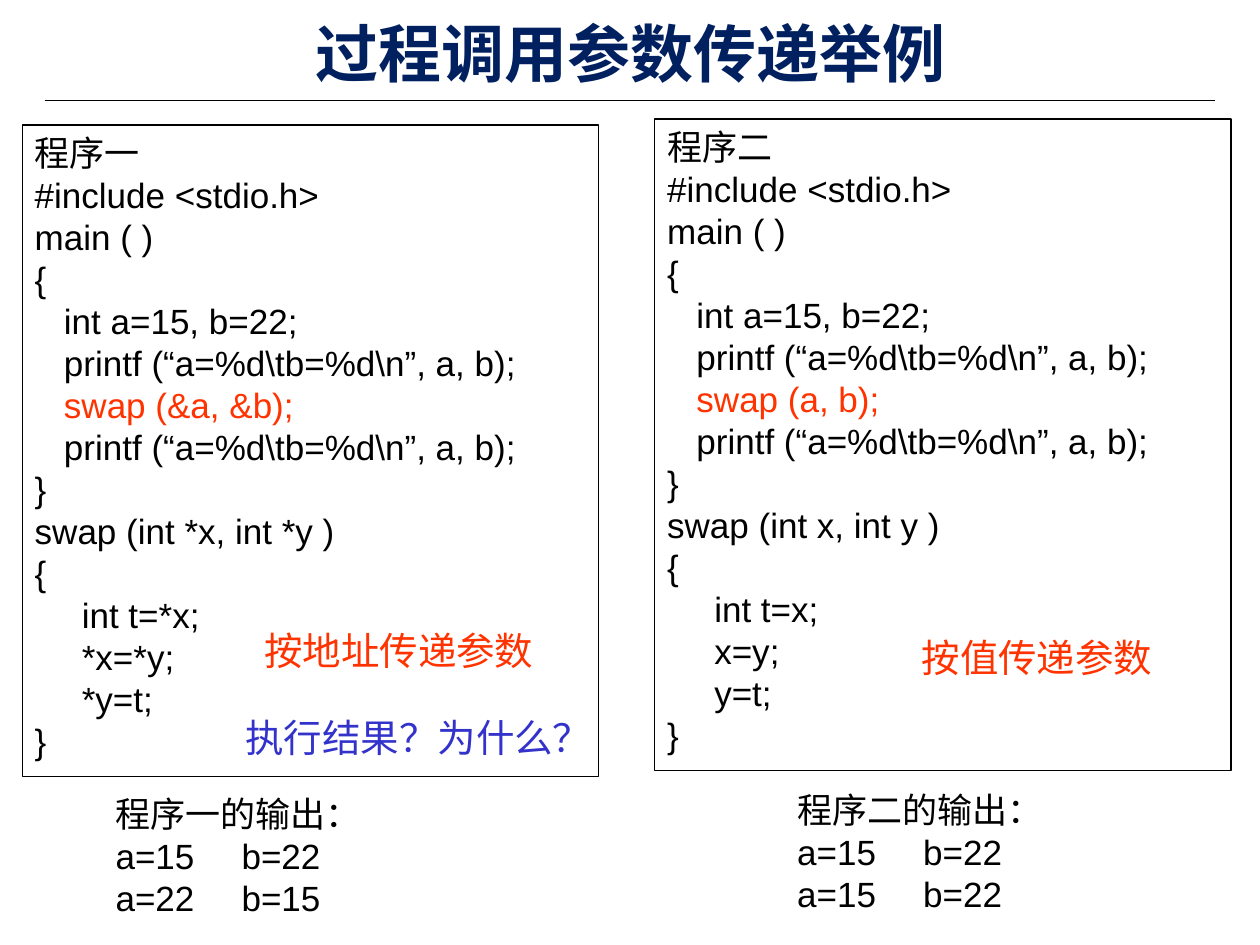
from pptx import Presentation
from pptx.dml.color import RGBColor
from pptx.enum.shapes import MSO_CONNECTOR, MSO_SHAPE
from pptx.enum.text import MSO_ANCHOR, PP_ALIGN
from pptx.oxml.ns import qn
from pptx.util import Cm, Pt
from lxml import etree

STRAIGHT, RECT = MSO_CONNECTOR.STRAIGHT, MSO_SHAPE.RECTANGLE
TOP, MIDDLE = MSO_ANCHOR.TOP, MSO_ANCHOR.MIDDLE
LEFT, CENTER, JUSTIFY = PP_ALIGN.LEFT, PP_ALIGN.CENTER, PP_ALIGN.JUSTIFY
COLORS = {"ink": "000000", "title": "002060", "accent": "FF3300",
          "question": "3333CC", "paper": "FFFFFF"}
INDENTS = (0, 0.59, 0.95)


class Deck:
    """Holds the text style and the current slide, and adds elements to it."""

    font = "Arial"
    code_size = 20
    note_size = 22

    def __init__(self, prs):
        self.s = prs.slides.add_slide(prs.slide_layouts[5])

    def color(self, name):
        return RGBColor.from_string(COLORS[name])

    def run(self, p, text, size, color="ink", bold=False):
        r = p.add_run()
        r.text = text
        r.font.name = self.font
        r.font.size = Pt(size)
        r.font.bold = bold
        r.font.color.rgb = self.color(color)

    def title(self, text, x, y, w, h):
        sp = self.s.shapes.title
        sp.left, sp.top, sp.width, sp.height = Cm(x), Cm(y), Cm(w), Cm(h)
        tf = sp.text_frame
        tf.vertical_anchor = MIDDLE
        tf.paragraphs[0].alignment = CENTER
        self.run(tf.paragraphs[0], text, 36, "title", True)

    def rule(self, x1, x2, y):
        line = self.s.shapes.add_connector(STRAIGHT, Cm(x1), Cm(y), Cm(x2), Cm(y))
        line.line.color.rgb = self.color("ink")
        line.line.width = Pt(0.75)
        etree.SubElement(line._element.spPr, qn("a:effectLst"))

    def lines(self, tf, rows):
        tf.word_wrap = True
        tf.vertical_anchor = TOP
        for i, (level, text, color) in enumerate(rows):
            p = tf.add_paragraph() if i else tf.paragraphs[0]
            p.alignment = JUSTIFY
            p._p.get_or_add_pPr().set("marL", str(Cm(INDENTS[level])))
            self.run(p, text, self.code_size, color)

    def program(self, rows, x, y, w, h):
        sp = self.s.shapes.add_shape(RECT, Cm(x), Cm(y), Cm(w), Cm(h))
        sp.shadow.inherit = False
        sp.fill.background()
        sp.line.color.rgb = self.color("ink")
        sp.line.width = Pt(0.75)
        self.lines(sp.text_frame, rows)

    def output(self, rows, x, y, w, h):
        sp = self.s.shapes.add_shape(RECT, Cm(x), Cm(y), Cm(w), Cm(h))
        sp.shadow.inherit = False
        sp.fill.solid()
        sp.fill.fore_color.rgb = self.color("paper")
        sp.line.fill.background()
        tf = sp.text_frame
        tf.margin_top = tf.margin_bottom = 0
        self.lines(tf, [(0, text, "ink") for text in rows])

    def note(self, text, color, x, y, w, h=1.19):
        tf = self.s.shapes.add_textbox(Cm(x), Cm(y), Cm(w), Cm(h)).text_frame
        tf.word_wrap = False
        tf.paragraphs[0].alignment = LEFT
        self.run(tf.paragraphs[0], text, self.note_size, color)


def swap_program(name, call, signature, body):
    """Return the rows of a program as (level, text, color)."""
    show = (1, "printf (“a=%d\\tb=%d\\n”, a, b);", "ink")
    head = [(0, text, "ink") for text in (name, "#include <stdio.h>", "main ( )", "{")]
    main = [(1, "int a=15, b=22;", "ink"), show, (1, call, "accent"), show]
    swap = [(0, text, "ink") for text in ("}", signature, "{")]
    return head + main + swap + [(2, text, "ink") for text in body] + [(0, "}", "ink")]


def main():
    """Build the slide and save it."""
    prs = Presentation()
    prs.slide_width, prs.slide_height = Cm(25.4), Cm(19.05)
    deck = Deck(prs)
    deck.rule(0.9, 24.5, 2.03)
    deck.title("过程调用参数传递举例", 1.27, 0.28, 22.86, 1.55)

    deck.output(["程序一的输出：", "a=15\tb=22", "a=22\tb=15"], 2.08, 15.98, 6.5, 2.41)
    deck.output(["程序二的输出：", "a=15\tb=22", "a=15\tb=22"], 15.82, 15.9, 6.15, 2.49)

    by_address = swap_program("程序一", "swap (&a, &b);", "swap (int *x, int *y )",
                              ["int t=*x;", "*x=*y;", "*y=t;"])
    by_value = swap_program("程序二", "swap (a, b);", "swap (int x, int y )",
                            ["int t=x;", "x=y;", "y=t;"])
    deck.program(by_address, 0.45, 2.52, 11.62, 13.13)
    deck.program(by_value, 13.2, 2.4, 11.62, 13.13)

    deck.note("按地址传递参数", "accent", 5.08, 12.52, 5.94)
    deck.note("按值传递参数", "accent", 18.33, 12.65, 5.16)
    deck.note("执行结果？为什么？", "question", 4.7, 14.27, 7.49)
    prs.save("out.pptx")


if __name__ == "__main__":
    main()
